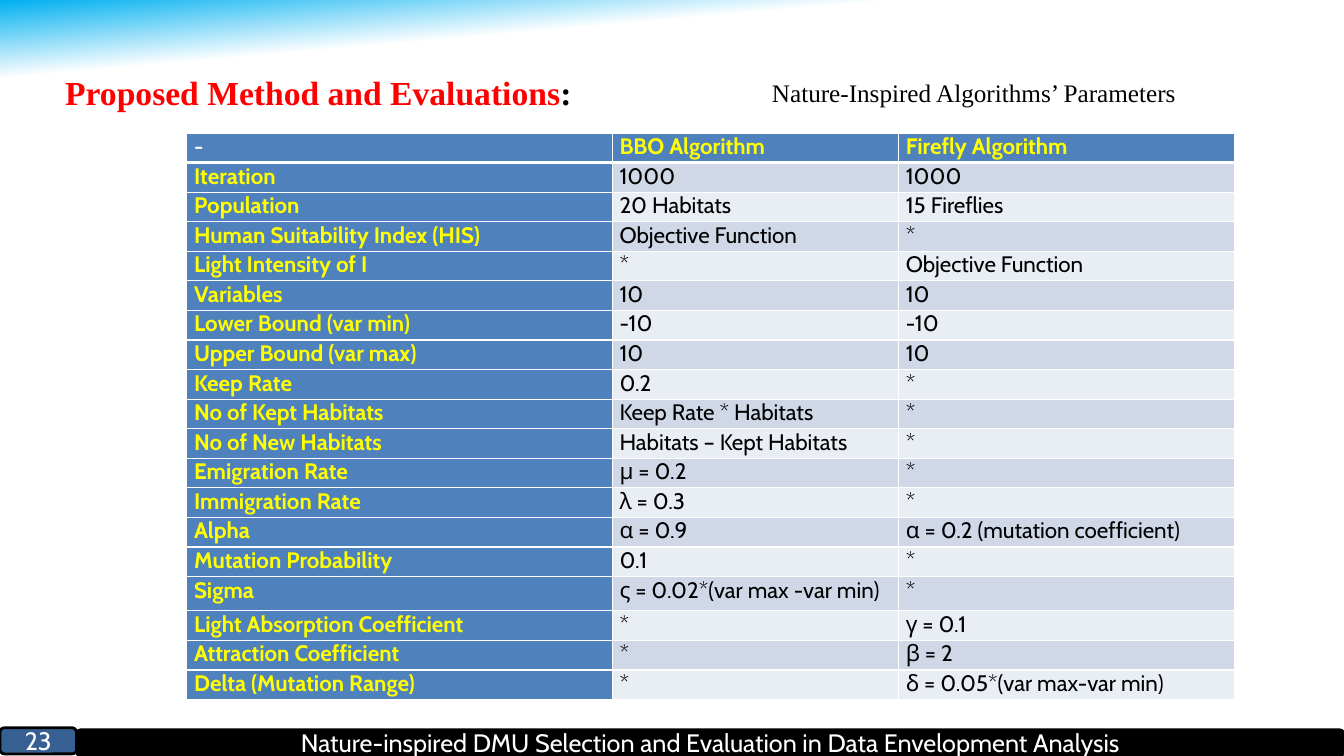
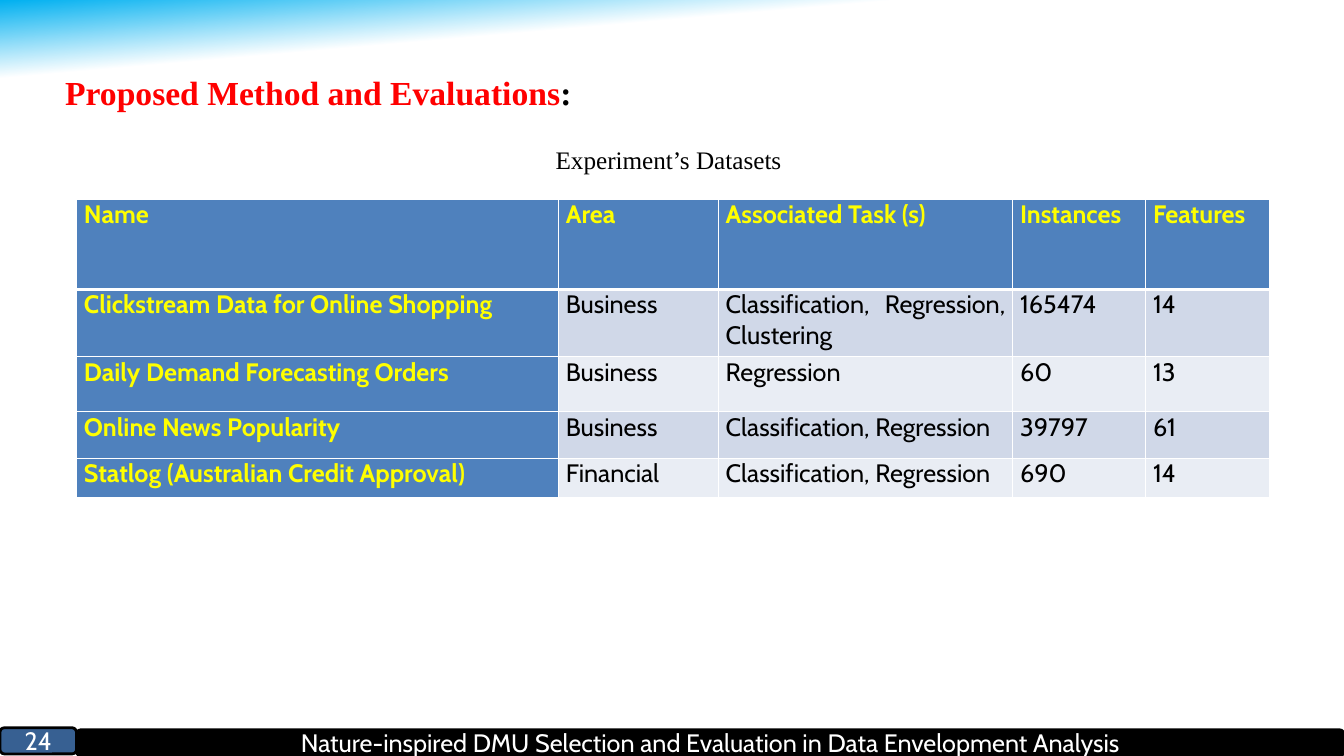
from copy import deepcopy

from lxml.etree import SubElement
from pptx import Presentation
from pptx.dml.color import RGBColor
from pptx.enum.shapes import MSO_SHAPE
from pptx.enum.text import MSO_ANCHOR, PP_ALIGN
from pptx.oxml.ns import qn
from pptx.util import Pt

PX = 6096
SKY, WHITE, BLACK = "00B0F0", "FFFFFF", "000000"
RED, YELLOW, BADGE_BLUE = "FF0000", "FFFF00", "376092"
HEADER_BLUE, BANDS = "4F81BD", ("D0D8E8", "E9EDF4")
SERIF, SANS = "Times New Roman", "Cabin"
TITLE = {"name": SERIF, "size": Pt(24), "bold": True}
CAPTION = {"name": SERIF, "size": Pt(18), "bold": False}
FOOTER = {"name": SANS, "size": Pt(18), "bold": False}
CELL_INSETS = {"margin_left": 11 * PX, "margin_right": 11 * PX, "margin_top": 0, "margin_bottom": 0}
FOOTER_TEXT = "Nature-inspired DMU Selection and Evaluation in Data Envelopment Analysis"

PARAMETERS = [
    ("-", "BBO Algorithm", "Firefly Algorithm"),
    ("Iteration", "1000", "1000"),
    ("Population", "20 Habitats", "15 Fireflies"),
    ("Human Suitability Index (HIS)", "Objective Function", "*"),
    ("Light Intensity of I", "*", "Objective Function"),
    ("Variables", "10", "10"),
    ("Lower Bound (var min)", "-10", "-10"),
    ("Upper Bound (var max)", "10", "10"),
    ("Keep Rate", "0.2", "*"),
    ("No of Kept Habitats", "Keep Rate * Habitats", "*"),
    ("No of New Habitats", "Habitats – Kept Habitats", "*"),
    ("Emigration Rate", "μ = 0.2", "*"),
    ("Immigration Rate", "λ = 0.3", "*"),
    ("Alpha", "α = 0.9", "α = 0.2 (mutation coefficient)"),
    ("Mutation Probability", "0.1", "*"),
    ("Sigma", "ς = 0.02*(var max -var min)", "*"),
    ("Light Absorption Coefficient", "*", "γ = 0.1"),
    ("Attraction Coefficient", "*", "β = 2"),
    ("Delta (Mutation Range)", "*", "δ = 0.05*(var max-var min)"),
]
DATASETS = [
    ("Name", "Area", "Associated Task (s)", "Instances", "Features"),
    ("Clickstream Data for Online Shopping", "Business",
     "Classification, Regression, Clustering", "165474", "14"),
    ("Daily Demand Forecasting Orders", "Business", "Regression", "60", "13"),
    ("Online News Popularity", "Business", "Classification, Regression", "39797", "61"),
    ("Statlog (Australian Credit Approval)", "Financial", "Classification, Regression", "690", "14"),
]


def rgb(value):
    """Return the colour for a hex string."""
    return RGBColor.from_string(value)


def px(*lengths):
    """Turn px lengths into EMU."""
    return [length * PX for length in lengths]


def apply(target, values):
    """Set each named format value on the target."""
    for name, value in values.items():
        setattr(target, name, value)


def write(paragraph, text, style, color, align=PP_ALIGN.LEFT):
    """Add one formatted run to a paragraph."""
    paragraph.alignment = align
    run = paragraph.add_run()
    run.text = text
    apply(run.font, style)
    run.font.color.rgb = rgb(color)


def paint_background(layout):
    """Give the layout its sky gradient."""
    fill = layout.background.fill
    fill.gradient()
    fill.gradient_angle = 275
    for stop, position, color in zip(fill.gradient_stops, (0, 0.09), (SKY, WHITE)):
        stop.position = position
        stop.color.rgb = rgb(color)
    stops = next(layout.element.iter(qn("a:gsLst")))
    last = deepcopy(stops[-1])
    last.set("pos", "100000")
    stops.append(last)


def add_band(slide, box, text, color):
    """Add one rounded footer band with centred text."""
    band = slide.shapes.add_shape(MSO_SHAPE.ROUNDED_RECTANGLE, *px(*box))
    band.shadow.inherit = False
    band.fill.solid()
    band.fill.fore_color.rgb = rgb(color)
    band.line.color.rgb = rgb(BLACK)
    band.line.width = Pt(2)
    band.text_frame.vertical_anchor = MSO_ANCHOR.MIDDLE
    write(band.text_frame.paragraphs[0], text, FOOTER, WHITE, PP_ALIGN.CENTER)


def add_caption(slide, box, text):
    """Add the caption that names the table."""
    frame = slide.shapes.add_textbox(*px(*box)).text_frame
    frame.word_wrap = True
    write(frame.paragraphs[0], text, CAPTION, BLACK)


def add_borders(cell, widths):
    """Draw white cell borders with the given widths in points."""
    properties = cell._tc.get_or_add_tcPr()
    for side, width in widths.items():
        line = SubElement(properties, qn(f"a:ln{side}"), w=str(Pt(width)))
        SubElement(SubElement(line, qn("a:solidFill")), qn("a:srgbClr"), val=WHITE)


def format_cell(cell, text, row, column, size):
    """Fill, border and write one table cell by its place."""
    is_heading = row == 0 or column == 0
    add_borders(cell, {"L": 1, "R": 1, "T": 3 if row == 1 else 1, "B": 3 if row == 0 else 1})
    cell.fill.solid()
    cell.fill.fore_color.rgb = rgb(HEADER_BLUE if is_heading else BANDS[(row - 1) % 2])
    apply(cell, CELL_INSETS)
    color = WHITE if text == "-" else YELLOW if is_heading else BLACK
    style = {"name": SANS, "size": Pt(size), "bold": is_heading}
    write(cell.text_frame.paragraphs[0], text, style, color, PP_ALIGN.JUSTIFY)


def add_grid(slide, corner, widths, heights, records, size):
    """Add a table with a heading row and a heading column."""
    extent = (*corner, sum(widths), sum(heights))
    table = slide.shapes.add_table(len(heights), len(widths), *px(*extent)).table
    for column, width in zip(table.columns, px(*widths)):
        column.width = width
    for row, height in zip(table.rows, px(*heights)):
        row.height = height
    for r, record in enumerate(records):
        for c, text in enumerate(record):
            format_cell(table.cell(r, c), text, r, c, size)


def add_evaluation_slide(deck, layout, number):
    """Add a slide with the shared title and footer."""
    slide = deck.slides.add_slide(layout)
    title = slide.shapes.title
    apply(title, dict(zip(("left", "top", "width", "height"), px(82, 100, 1835, 75))))
    title.text_frame.vertical_anchor = MSO_ANCHOR.TOP
    heading = title.text_frame.paragraphs[0]
    write(heading, "Proposed Method and Evaluations", TITLE, RED)
    write(heading, ":", TITLE, BLACK)
    add_band(slide, (114, 1086, 1886, 39), FOOTER_TEXT, BLACK)
    add_band(slide, (0, 1083, 114, 39), str(number), BADGE_BLUE)
    return slide


def main():
    """Build and save the deck."""
    deck = Presentation()
    deck.slide_width, deck.slide_height = px(2000, 1125)
    layout = deck.slide_layouts[5]
    paint_background(layout)

    parameters = add_evaluation_slide(deck, layout, 23)
    heights = [51 if record[0] == "Sigma" else 44 for record in PARAMETERS]
    add_grid(parameters, (278, 198), (633, 426, 500), heights, PARAMETERS, 16)
    add_caption(parameters, (1134, 108, 702, 60), "Nature-Inspired Algorithms’ Parameters")

    datasets = add_evaluation_slide(deck, layout, 24)
    add_grid(datasets, (114, 297), (717, 238, 438, 198, 185), (134, 100, 82, 69, 58), DATASETS, 18)
    add_caption(datasets, (812, 207, 1002, 60), "Experiment’s Datasets")

    deck.save("out.pptx")


if __name__ == "__main__":
    main()
